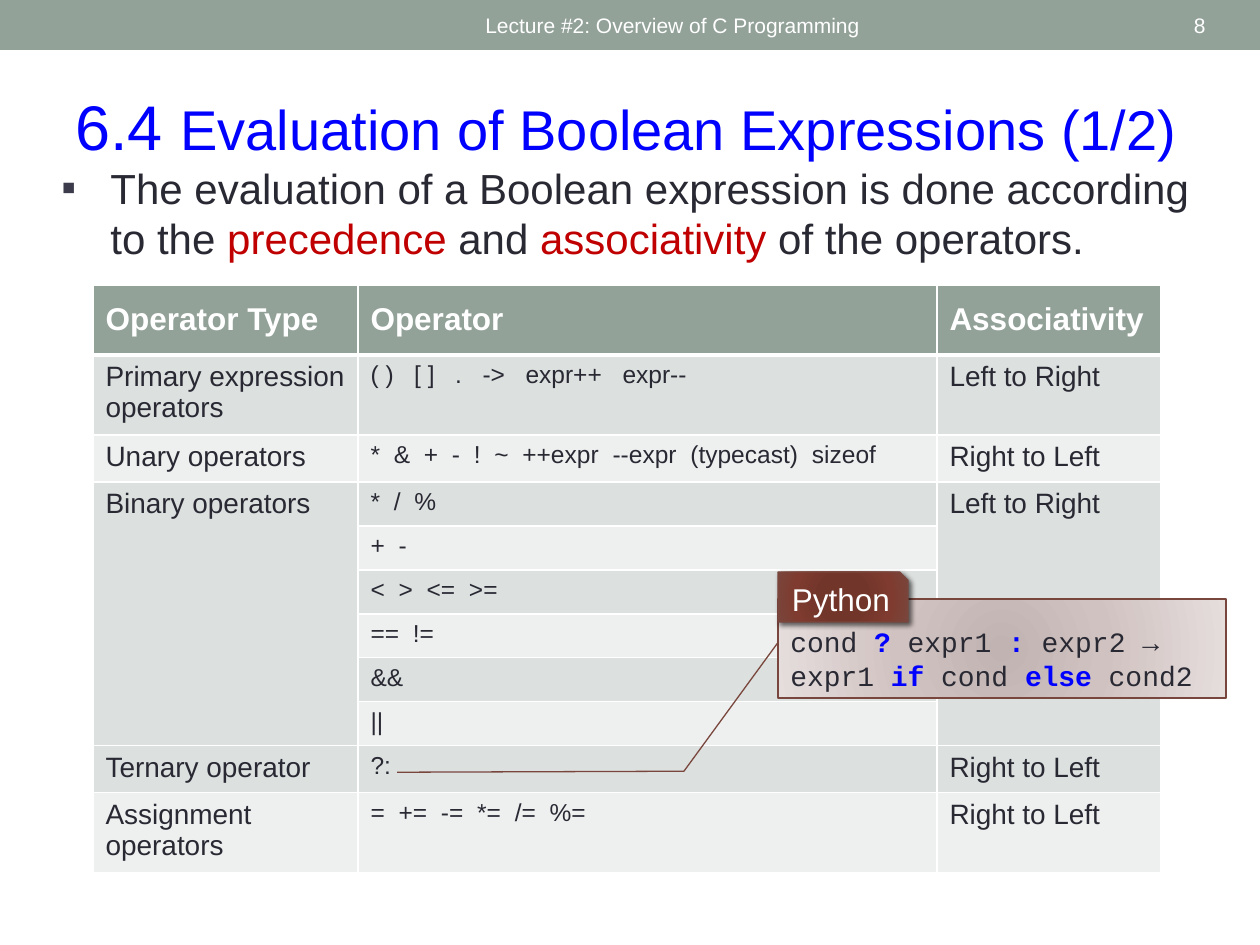
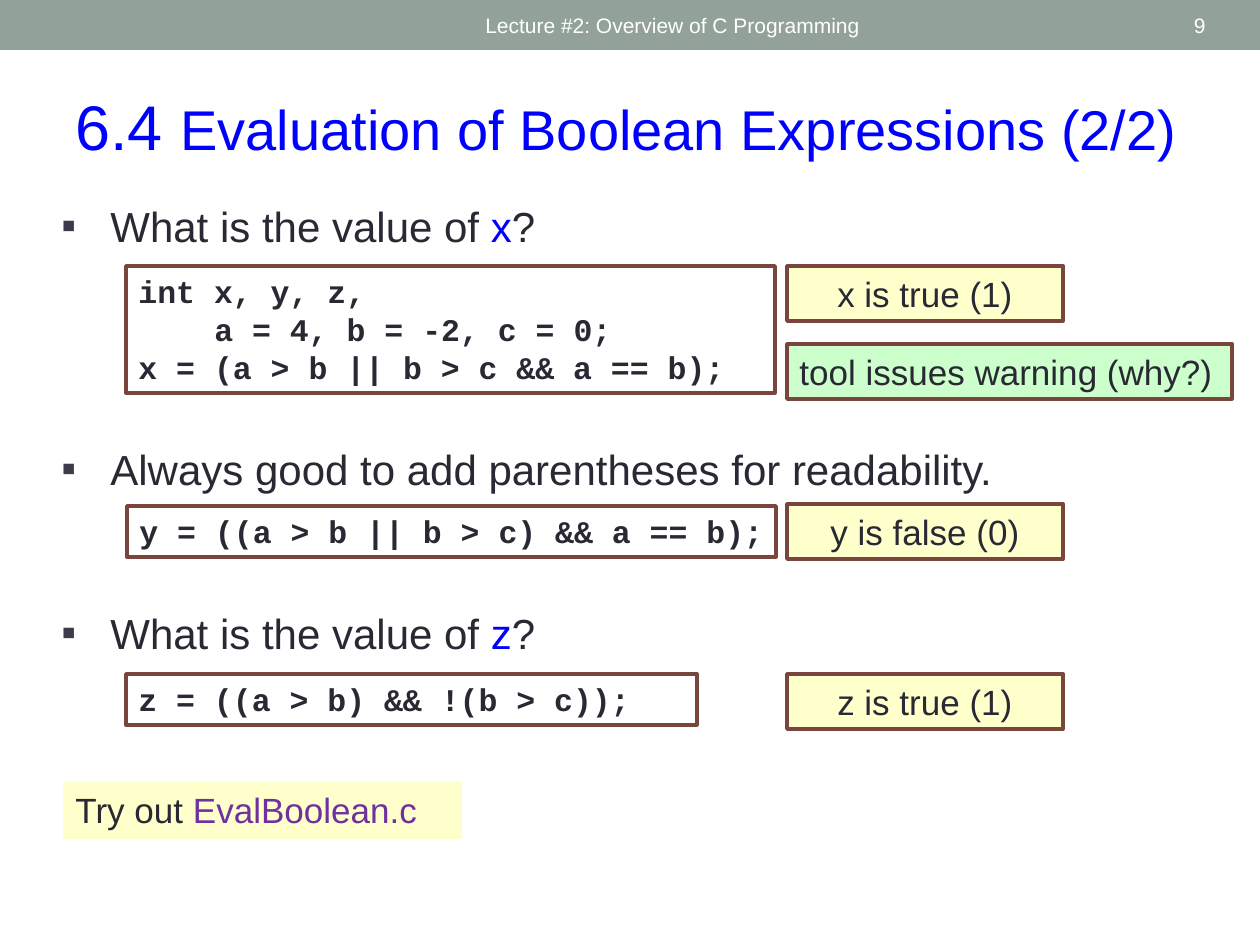
from dataclasses import dataclass

from lxml.etree import SubElement
from pptx import Presentation
from pptx.dml.color import RGBColor
from pptx.enum.shapes import MSO_SHAPE
from pptx.enum.text import MSO_ANCHOR, PP_ALIGN
from pptx.oxml.ns import qn
from pptx.util import Inches, Pt

PX = Inches(1) // 126


@dataclass(frozen=True)
class Theme:
    sage: str = "93A299"
    band: tuple = ("DCE0DE", "EEF0EF")
    white: str = "FFFFFF"
    ink: str = "292934"
    mark: str = "3B3B4B"
    blue: str = "0000FF"
    red: str = "C00000"
    plum: str = "7030A0"
    rust: str = "79463D"
    cream: str = "FFFFCC"
    mint: str = "CCFFCC"
    sans: str = "Arial"
    mono: str = "Courier New"
    small: int = 12
    cell: int = 14
    label: int = 16
    code: int = 18
    note: int = 20
    body: int = 24
    title: int = 32
    number: int = 36


T = Theme()


def box(slide, rect, lines=(), size=T.body, color=T.ink, font=T.sans, bold=False,
        align=PP_ALIGN.LEFT, anchor=MSO_ANCHOR.TOP, kind=None, fill=None, edge=0):
    """Add a text box, or a shape if kind is given; a line holds strings or (text, color, bold)."""
    rect = [n * PX for n in rect]
    if kind is None:
        item = slide.shapes.add_textbox(*rect)
    else:
        item = slide.shapes.add_shape(kind, *rect)
        item.shadow.inherit = False
        if fill:
            item.fill.solid()
            item.fill.fore_color.rgb = RGBColor.from_string(fill)
        if edge:
            item.line.color.rgb = RGBColor.from_string(T.rust)
            item.line.width = Pt(edge)
        else:
            item.line.fill.background()
    frame = item.text_frame
    frame.word_wrap = True
    frame.vertical_anchor = anchor
    for i, line in enumerate(lines):
        para = frame.add_paragraph() if i else frame.paragraphs[0]
        para.alignment = align
        para.font.size, para.font.name, para.font.bold = Pt(size), font, bold
        para.font.color.rgb = RGBColor.from_string(color)
        for part in [line] if isinstance(line, str) else line:
            text, tint, heavy = (part, color, bold) if isinstance(part, str) else part
            run = para.add_run()
            run.text = text
            if tint != color:
                run.font.color.rgb = RGBColor.from_string(tint)
            if heavy != bold:
                run.font.bold = heavy
    return item


def glow(item, stops):
    """Fill a shape with a gradient that spreads in circles from its centre."""
    props = item.element.spPr
    grad = SubElement(props, qn("a:gradFill"), rotWithShape="1")
    props.find(qn("a:prstGeom")).addnext(grad)
    chain = SubElement(grad, qn("a:gsLst"))
    for place, color in stops:
        stop = SubElement(chain, qn("a:gs"), pos=str(place * 1000))
        SubElement(stop, qn("a:srgbClr"), val=color)
    path = SubElement(grad, qn("a:path"), path="circle")
    SubElement(path, qn("a:fillToRect"), l="100000", t="100000", r="100000", b="100000")


deck = Presentation()
deck.slide_width, deck.slide_height = 1260 * PX, 945 * PX

# Band, footer, title and bullets of each slide; a bullet is (top, height, parts)
pages = [
    (8, "(1/2)", [
        (156, 156, ["The evaluation of a Boolean expression is done according to the ",
                    ("precedence", T.red, False), " and ",
                    ("associativity", T.red, False), " of the operators."]),
    ]),
    (9, "(2/2)", [
        (194, 78, ["What is the value of ", ("x", T.blue, False), "?"]),
        (437, 86, ["Always good to add parentheses for readability."]),
        (601, 82, ["What is the value of ", ("z", T.blue, False), "?"]),
    ]),
]
slides = []
for number, part, bullets in pages:
    slide = deck.slides.add_slide(deck.slide_layouts[6])
    slides.append(slide)
    box(slide, (0, 0, 1260, 50), kind=MSO_SHAPE.RECTANGLE, fill=T.sage)
    box(slide, (473, 3, 567, 45), ["Lecture #2: Overview of C Programming"],
        T.small, T.white, anchor=MSO_ANCHOR.MIDDLE)
    box(slide, (1098, 3, 120, 45), [str(number)], T.small, T.white,
        align=PP_ALIGN.RIGHT, anchor=MSO_ANCHOR.MIDDLE)
    title = box(slide, (63, 81, 1171, 89),
                [["6.4 ", f"Evaluation of Boolean Expressions {part}"]], T.title, T.blue)
    title.text_frame.paragraphs[0].runs[0].font.size = Pt(T.number)
    for top, height, parts in bullets:
        item = box(slide, (49, top, 1157, height), [parts])
        para = item.text_frame.paragraphs[0]
        para.space_before = Pt(6)
        props = para._p.get_or_add_pPr()
        props.set("marL", str(49 * PX))
        props.set("indent", str(-49 * PX))
        tint = SubElement(props, qn("a:buClr"))
        SubElement(tint, qn("a:srgbClr"), val=T.mark)
        face = SubElement(props, qn("a:buFont"), typeface=T.sans)
        sign = SubElement(props, qn("a:buChar"), char="▪")
        for mark in (tint, face, sign):
            props.find(qn("a:defRPr")).addprevious(mark)
first, second = slides

# Operator table
LEFT, RIGHT = "Left to Right", "Right to Left"
rows = [
    (70, "Operator Type", ["Operator"], "Associativity"),
    (80, "Primary expression operators",
     ["( )", "[ ]", ".", "->", "expr++", "expr--"], LEFT),
    (47, "Unary operators",
     ["*", "&", "+", "-", "!", "~", "++expr", "--expr", "(typecast)", "sizeof"], RIGHT),
    (44, "Binary operators", ["*", "/", "%"], LEFT),
    (44, "", ["+", "-"], ""),
    (44, "", ["<", ">", "<=", ">="], ""),
    (44, "", ["==", "!="], ""),
    (44, "", ["&&"], ""),
    (44, "", ["||"], ""),
    (47, "Ternary operator", ["?:"], RIGHT),
    (80, "Assignment operators", ["=", "+=", "-=", "*=", "/=", "%="], RIGHT),
]
widths = (265, 579, 224)
grid = first.shapes.add_table(len(rows), len(widths), 93 * PX, 285 * PX,
                              sum(widths) * PX, sum(row[0] for row in rows) * PX).table
grid.horz_banding = False
for column, width in zip(grid.columns, widths):
    column.width = width * PX
for r, (height, *texts) in enumerate(rows):
    grid.rows[r].height = height * PX
    for c, text in enumerate(texts):
        cell = grid.cell(r, c)
        props = cell._tc.get_or_add_tcPr()
        for side in "LRTB":
            thick = 3 if (r, side) in ((0, "B"), (1, "T")) else 1
            rule = SubElement(props, qn(f"a:ln{side}"), w=str(Pt(thick)))
            paint = SubElement(rule, qn("a:solidFill"))
            SubElement(paint, qn("a:srgbClr"), val=T.white)
        # The merged cells keep the fill of their first row
        shade = T.band[0] if 3 <= r <= 8 and c != 1 else T.band[(r + 1) % 2]
        cell.fill.solid()
        cell.fill.fore_color.rgb = RGBColor.from_string(shade if r else T.sage)
        cell.vertical_anchor = MSO_ANCHOR.TOP if r else MSO_ANCHOR.MIDDLE
        para = cell.text_frame.paragraphs[0]
        para.font.name, para.font.bold = T.sans, r == 0
        para.font.size = Pt(T.code if r == 0 else T.cell if c == 1 else T.label)
        para.font.color.rgb = RGBColor.from_string(T.ink if r else T.white)
        words = text if c == 1 else [text] if text else []
        for i, word in enumerate(words):
            if i:
                gap = para.add_run()
                gap.text = " "
                gap.font._element.set("spc", "780" if r == 1 else "390")
            para.add_run().text = word
for c in (0, 2):
    grid.cell(3, c).merge(grid.cell(8, c))

# Callout on the ternary operator
callout = box(first, (778, 599, 448, 99), [
    ["cond ", ("?", T.blue, True), " expr1 ", (":", T.blue, True), " expr2 →"],
    ["expr1 ", ("if ", T.blue, True), "cond ", ("else", T.blue, True), " cond2"],
], T.label, font=T.mono, anchor=MSO_ANCHOR.BOTTOM, kind=MSO_SHAPE.LINE_CALLOUT_2, edge=0.75)
for i, value in enumerate((0.44, 0, 1.74, -0.21, 1.75, -0.85)):
    callout.adjustments[i] = value
glow(callout, [(0, "C0B3B1"), (45, "D0C2C0"), (100, "E5DEDD")])

tag = box(first, (778, 572, 130, 50), ["Python"], T.code, T.white, align=PP_ALIGN.CENTER,
          anchor=MSO_ANCHOR.MIDDLE, kind=MSO_SHAPE.SNIP_1_RECTANGLE, edge=0.75)
glow(tag, [(0, "743327"), (34, "72352A"), (70, "7F3B2F"), (100, T.rust)])
shadow = SubElement(tag.element.spPr.find(qn("a:effectLst")), qn("a:outerShdw"),
                    blurRad=str(Pt(3)), dist=str(Pt(2)), dir=str(45 * 60000))
black = SubElement(shadow, qn("a:srgbClr"), val="000000")
SubElement(black, qn("a:alpha"), val="60000")

# Code and answers
codes = [
    ((126, 266, 649, 127),
     ["int x, y, z,", "a = 4, b = -2, c = 0;", "x = (a > b || b > c && a == b);"]),
    ((127, 506, 649, 51), ["y = ((a > b || b > c) && a == b);"]),
    ((126, 674, 571, 51), ["z = ((a > b) && !(b > c));"]),
]
for rect, lines in codes:
    item = box(second, rect, lines, T.code, font=T.mono, bold=True,
               kind=MSO_SHAPE.RECTANGLE, fill=T.white, edge=2.08)
    for para in item.text_frame.paragraphs[1:2]:
        para._p.get_or_add_pPr().set("marL", str(76 * PX))

answers = [
    (266, 276, "x is true (1)", T.cream, PP_ALIGN.CENTER),
    (344, 445, "tool issues warning (why?)", T.mint, PP_ALIGN.LEFT),
    (504, 276, "y is false (0)", T.cream, PP_ALIGN.CENTER),
    (674, 276, "z is true (1)", T.cream, PP_ALIGN.CENTER),
]
for top, width, text, fill, align in answers:
    box(second, (787, top, width, 55), [text], T.note, align=align,
        kind=MSO_SHAPE.RECTANGLE, fill=fill, edge=2.08)

hint = box(second, (63, 782, 399, 57), [["Try out ", ("EvalBoolean.c", T.plum, False)]],
           T.note, kind=MSO_SHAPE.RECTANGLE, fill=T.cream)
hint.text_frame.paragraphs[0].space_before = Pt(4)

deck.save("out.pptx")
